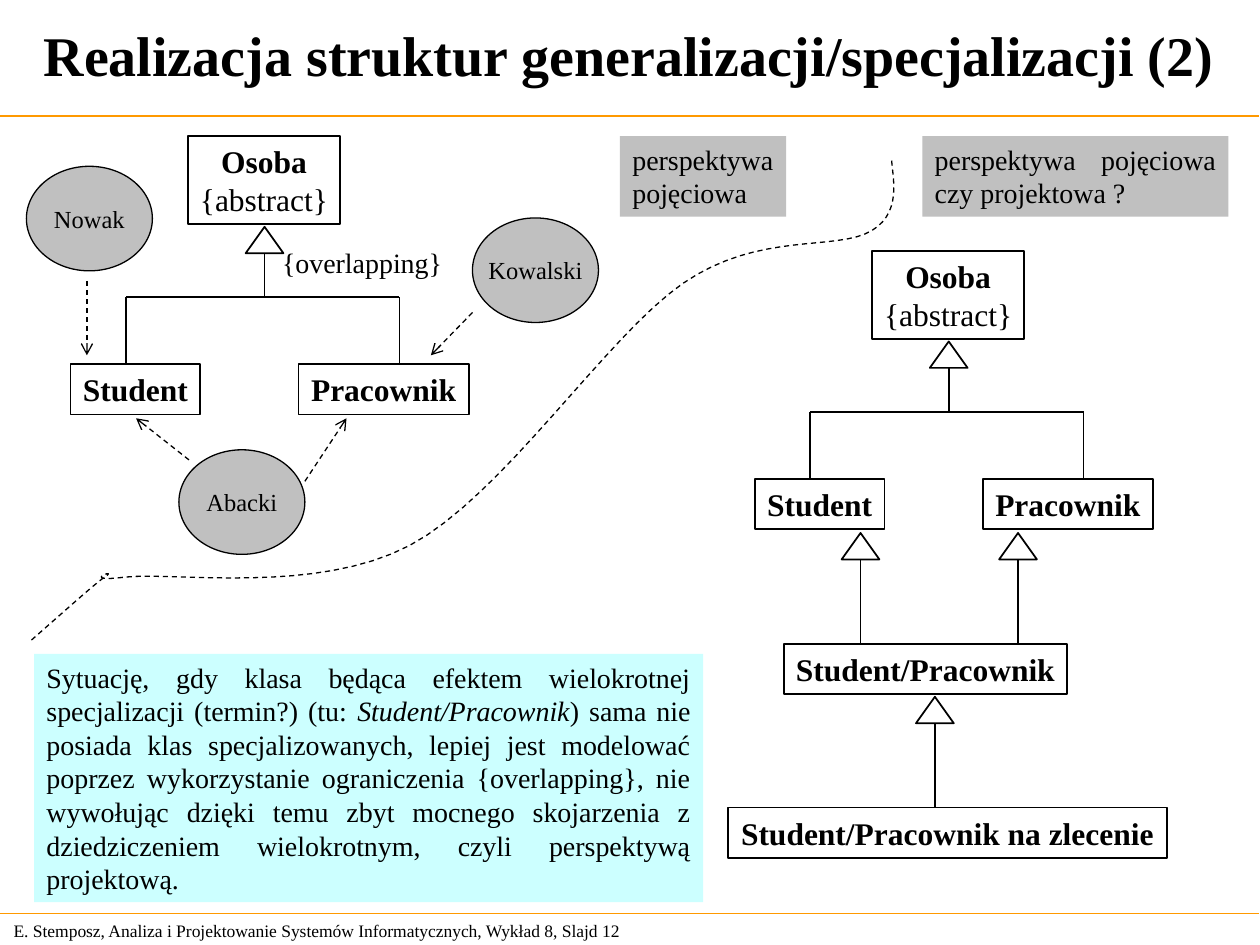
from dataclasses import dataclass

from lxml import etree
from pptx import Presentation
from pptx.dml.color import RGBColor
from pptx.enum.dml import MSO_LINE
from pptx.enum.shapes import MSO_CONNECTOR, MSO_SHAPE
from pptx.enum.text import MSO_ANCHOR, MSO_AUTO_SIZE, PP_ALIGN
from pptx.oxml.ns import qn
from pptx.util import Pt

PX = 9144
RECT, OVAL, WEDGE = MSO_SHAPE.RECTANGLE, MSO_SHAPE.OVAL, MSO_SHAPE.ISOSCELES_TRIANGLE
STRAIGHT = MSO_CONNECTOR.STRAIGHT
DASH = MSO_LINE.DASH
LEFT, MID, JUST = PP_ALIGN.LEFT, PP_ALIGN.CENTER, PP_ALIGN.JUSTIFY
TOP, CORE = MSO_ANCHOR.TOP, MSO_ANCHOR.MIDDLE
FIT, FIXED = MSO_AUTO_SIZE.SHAPE_TO_FIT_TEXT, MSO_AUTO_SIZE.NONE


@dataclass(frozen=True)
class Theme:
    """Hold the colours, font and sizes of the slide."""
    font: str = "Times New Roman"
    ink: str = "000000"
    white: str = "FFFFFF"
    grey: str = "C0C0C0"
    aqua: str = "CCFFFF"
    rule: str = "FF9900"
    title: int = 32
    name: int = 18
    text: int = 16
    small: int = 14
    foot: int = 10
    thin: float = 0.75
    bold: float = 1


THEME = Theme()


def emu(*sides):
    """Turn px lengths into EMU."""
    return [round(side * PX) for side in sides]


def style(frame, size, align=LEFT, anchor=TOP, wrap=False, fit=FIT):
    """Format a text frame and all of its runs."""
    frame.word_wrap = wrap
    frame.auto_size = fit
    frame.vertical_anchor = anchor
    for para in frame.paragraphs:
        para.alignment = align
        for run in para.runs:
            run.font.name = THEME.font
            run.font.size = Pt(size)
            run.font.color.rgb = RGBColor.from_string(THEME.ink)


def stroke(line, width, color=THEME.ink, dash=None):
    """Set the colour, width and dash of a line."""
    line.color.rgb = RGBColor.from_string(color)
    line.width = Pt(width)
    if dash:
        line.dash_style = dash


def block(slide, kind, box, fill=None, width=None):
    """Add a preset shape with a plain fill and outline."""
    shape = slide.shapes.add_shape(kind, *emu(*box))
    shape.shadow.inherit = False
    if fill:
        shape.fill.solid()
        shape.fill.fore_color.rgb = RGBColor.from_string(fill)
    else:
        shape.fill.background()
    if width:
        stroke(shape.line, width)
    else:
        shape.line.fill.background()
    return shape


def link(slide, ends, width=THEME.bold, color=THEME.ink, dash=None, arrow=False):
    """Add a straight line, with an arrowhead if asked."""
    line = slide.shapes.add_connector(STRAIGHT, *emu(*ends))
    stroke(line.line, width, color, dash)
    if arrow:
        etree.SubElement(line.line._get_or_add_ln(), qn("a:tailEnd"), type="arrow")
    etree.SubElement(line._element.spPr, qn("a:effectLst"))


def label(slide, box, text, size):
    """Add a line of text without a frame."""
    frame = slide.shapes.add_textbox(*emu(*box)).text_frame
    frame.text = text
    style(frame, size)
    return frame


def unit(slide, box, text):
    """Add a class box with a bold first line and slim side margins."""
    frame = block(slide, RECT, box, width=THEME.bold).text_frame
    frame.text = text
    style(frame, THEME.name, MID, CORE, fit=FIXED)
    frame.margin_left, frame.margin_right = emu(3, 3)
    frame.paragraphs[0].runs[0].font.bold = True


def wedge(slide, x, y, drop):
    """Add a triangle with its tip at x, y and a stem down to drop."""
    block(slide, WEDGE, (x - 15, y, 30, 21), THEME.white, THEME.bold)
    link(slide, (x, y + 21, x, drop))


def tree(slide, x, y):
    """Draw a parent class with its two child classes."""
    unit(slide, (x + 93, y, 121, 70), "Osoba\n{abstract}")
    wedge(slide, x + 154, y + 72, y + 128)
    for left, wide, text in ((0, 103, "Student"), (181, 135, "Pracownik")):
        unit(slide, (x + left, y + 181, wide, 40), text)
    link(slide, (x + 44, y + 128, x + 261, y + 128))
    for stem in (44, 261):
        link(slide, (x + stem, y + 128, x + stem, y + 181))


def people(slide, x, y):
    """Draw the class tree with the persons who belong to it."""
    tree(slide, x + 35, y)
    label(slide, (x + 193, y + 82, 147, 37), "{overlapping}", THEME.text)
    for left, top, text in ((354, 65, "Kowalski"), (0, 24, "Nowak"), (121, 249, "Abacki")):
        frame = block(slide, OVAL, (x + left, y + top, 100, 83), THEME.grey, THEME.thin).text_frame
        frame.text = text
        style(frame, THEME.small, MID, CORE, fit=FIXED)
    for x1, y1, x2, y2 in ((354, 140, 321, 174), (48, 115, 48, 174),
                           (221, 274, 254, 224), (129, 257, 87, 224)):
        link(slide, (x + x1, y + y1, x + x2, y + y2), THEME.thin, dash=DASH, arrow=True)


def layers(slide, x, y):
    """Draw the class tree with two further levels below it."""
    tree(slide, x + 21, y)
    unit(slide, (x + 44, y + 312, 225, 40), "Student/Pracownik")
    for tip in (105, 230):
        wedge(slide, x + tip, y + 224, y + 312)
    unit(slide, (x, y + 442, 348, 40), "Student/Pracownik na zlecenie")
    wedge(slide, x + 164, y + 354, y + 442)


def split(slide, x, y):
    """Draw the dashed curve that parts the two views."""
    start = (0, 383)
    curves = (((23, 363), (46, 342), (58, 333)), ((71, 325), (35, 338), (75, 333)),
              ((115, 329), (226, 347), (300, 308)), ((374, 269), (456, 142), (517, 100)),
              ((578, 58), (639, 75), (667, 58)), ((694, 42), (681, 8), (683, 0)))
    steps, points, last = 16, [], start
    for one, two, end in curves:
        for step in range(1, steps + 1):
            t = step / steps
            u = 1 - t
            points.append([u**3 * a + 3 * u * u * t * b + 3 * u * t * t * c + t**3 * d
                           for a, b, c, d in zip(last, one, two, end)])
        last = end
    path = slide.shapes.build_freeform(*emu(x + start[0], y + start[1]))
    path.add_line_segments([emu(x + a, y + b) for a, b in points], close=False)
    curve = path.convert_to_shape()
    curve.shadow.inherit = False
    curve.fill.background()
    stroke(curve.line, THEME.thin, dash=DASH)


def panel(slide, box, parts, fill, align=JUST, wrap=True):
    """Add a filled text panel; every second part is italic."""
    frame = block(slide, RECT, box, fill).text_frame
    frame.text = parts[0]
    for spot, part in enumerate(parts[1:], 1):
        run = frame.paragraphs[0].add_run()
        run.text = part
        run.font.italic = spot % 2 == 1
    style(frame, THEME.text, align, wrap=wrap)


def head(slide, wide):
    """Place the title, the two rules and the footer."""
    title = slide.shapes.title
    title.left, title.top, title.width, title.height = emu(0, -3, wide, 92)
    title.text_frame.text = "Realizacja struktur generalizacji/specjalizacji (2)"
    style(title.text_frame, THEME.title, MID, CORE, True, FIXED)
    title.text_frame.paragraphs[0].runs[0].font.bold = True
    for y in (92, 725):
        link(slide, (-1, y, wide, y), THEME.thin, THEME.rule)
    text = "E. Stemposz, Analiza i Projektowanie Systemów Informatycznych, Wykład 8, Slajd 12"
    label(slide, (1, 725, 524, 27), text, THEME.foot).vertical_anchor = CORE


def main():
    """Build the slide and save it."""
    deck = Presentation()
    deck.slide_width, deck.slide_height = emu(1000, 750)
    slide = deck.slides.add_slide(deck.slide_layouts[5])
    head(slide, 999)
    people(slide, 21, 108)
    split(slide, 25, 125)
    panel(slide, (492, 108, 132, 64), ["perspektywa\npojęciowa"], THEME.grey, LEFT, False)
    panel(slide, (732, 108, 243, 64), ["perspektywa pojęciowa czy projektowa ?"], THEME.grey)
    layers(slide, 578, 199)
    panel(slide, (27, 519, 531, 197), [
        "Sytuację, gdy klasa będąca efektem wielokrotnej specjalizacji (termin?) (tu: ",
        "Student/Pracownik",
        ") sama nie posiada klas specjalizowanych, lepiej jest modelować poprzez "
        "wykorzystanie ograniczenia {overlapping}, nie wywołując dzięki temu zbyt mocnego "
        "skojarzenia z dziedziczeniem wielokrotnym, czyli perspektywą projektową.",
    ], THEME.aqua)
    deck.save("out.pptx")


if __name__ == "__main__":
    main()
